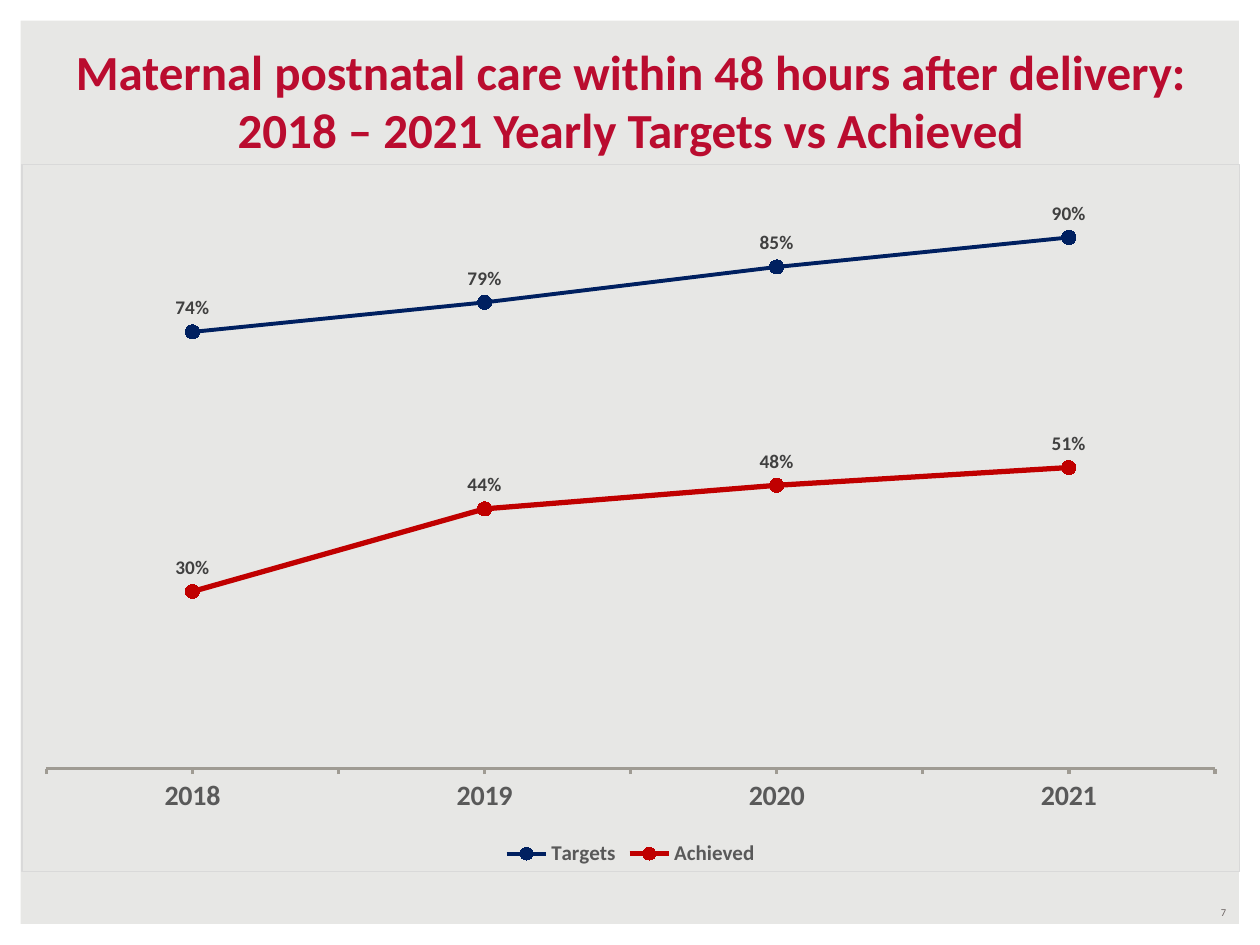
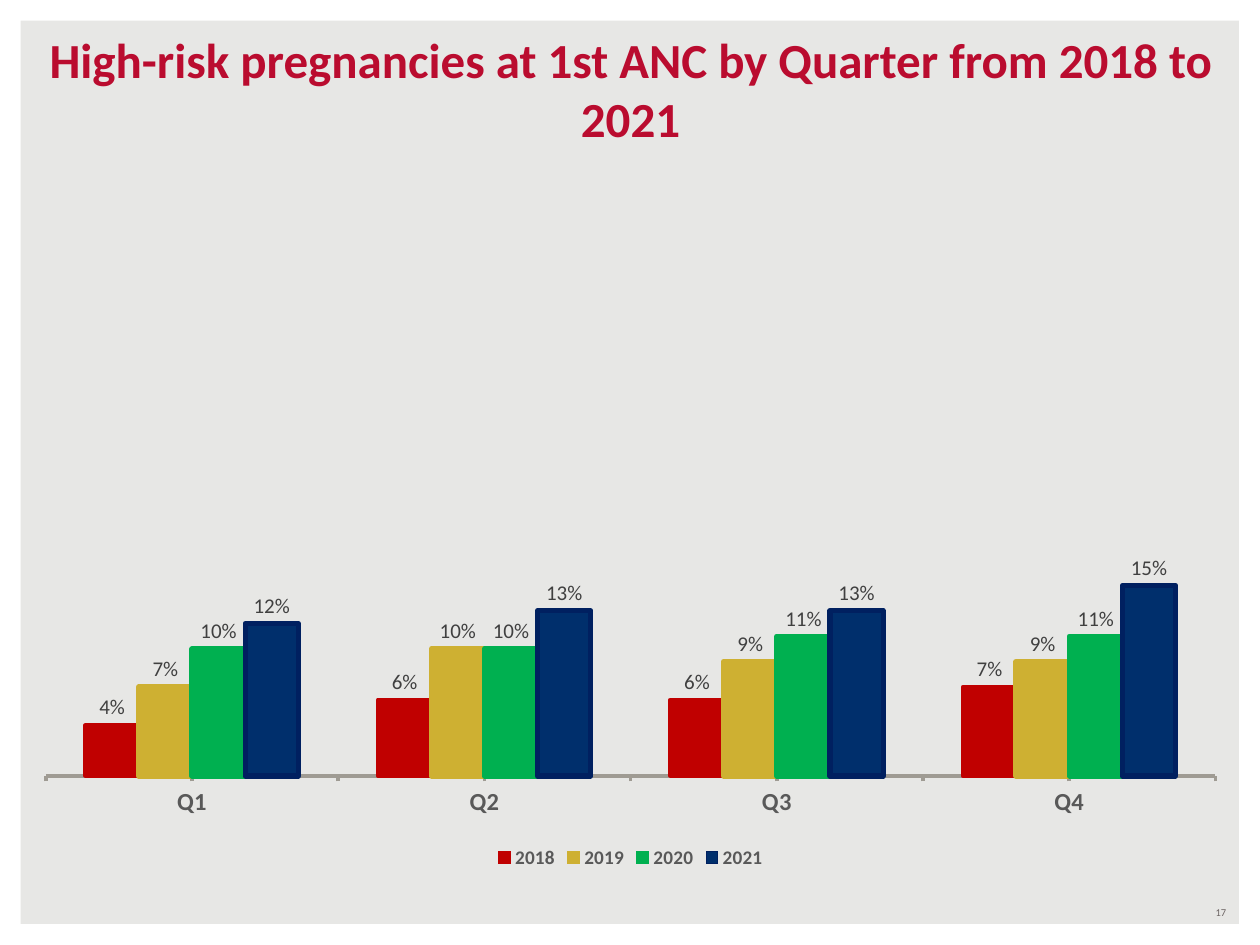
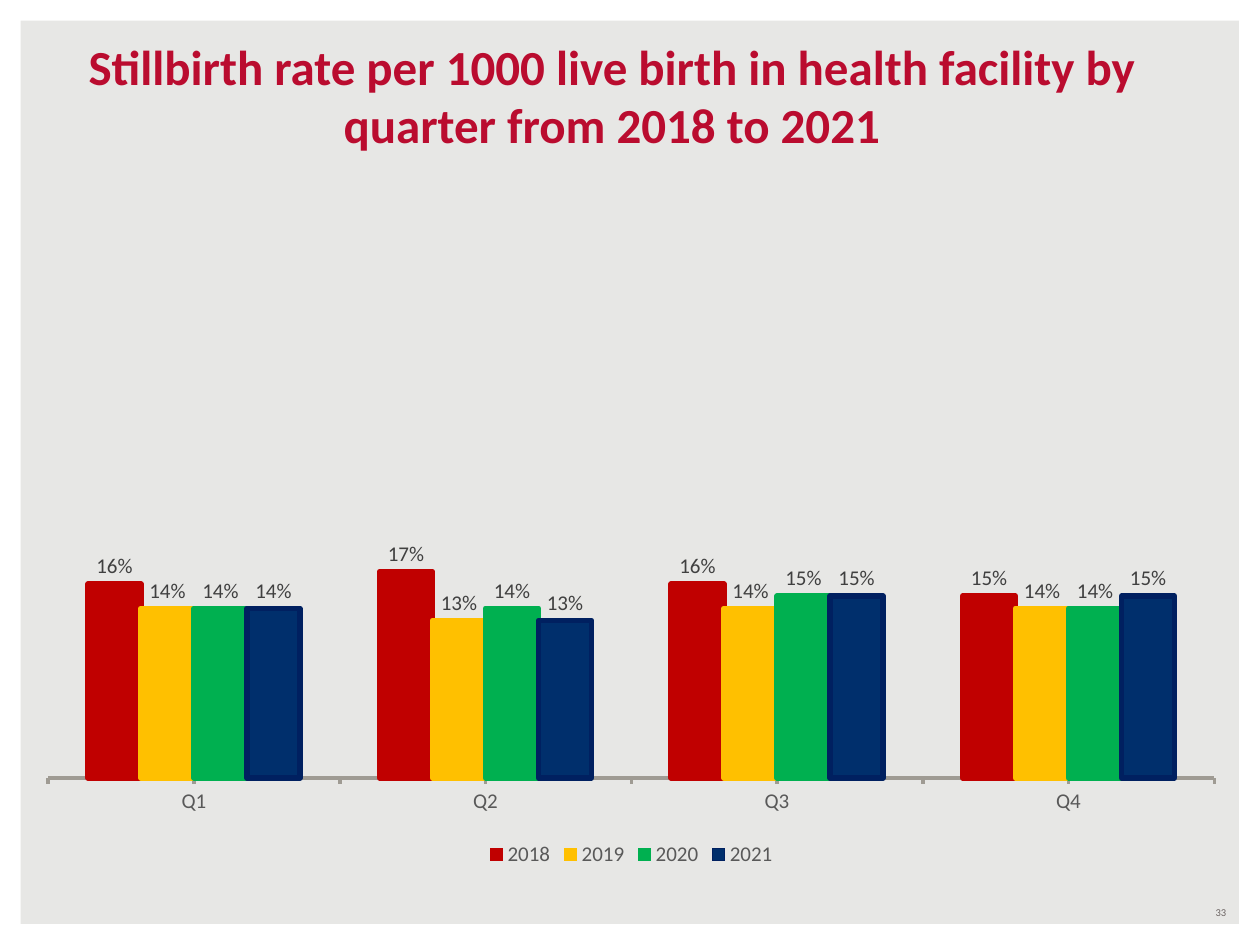
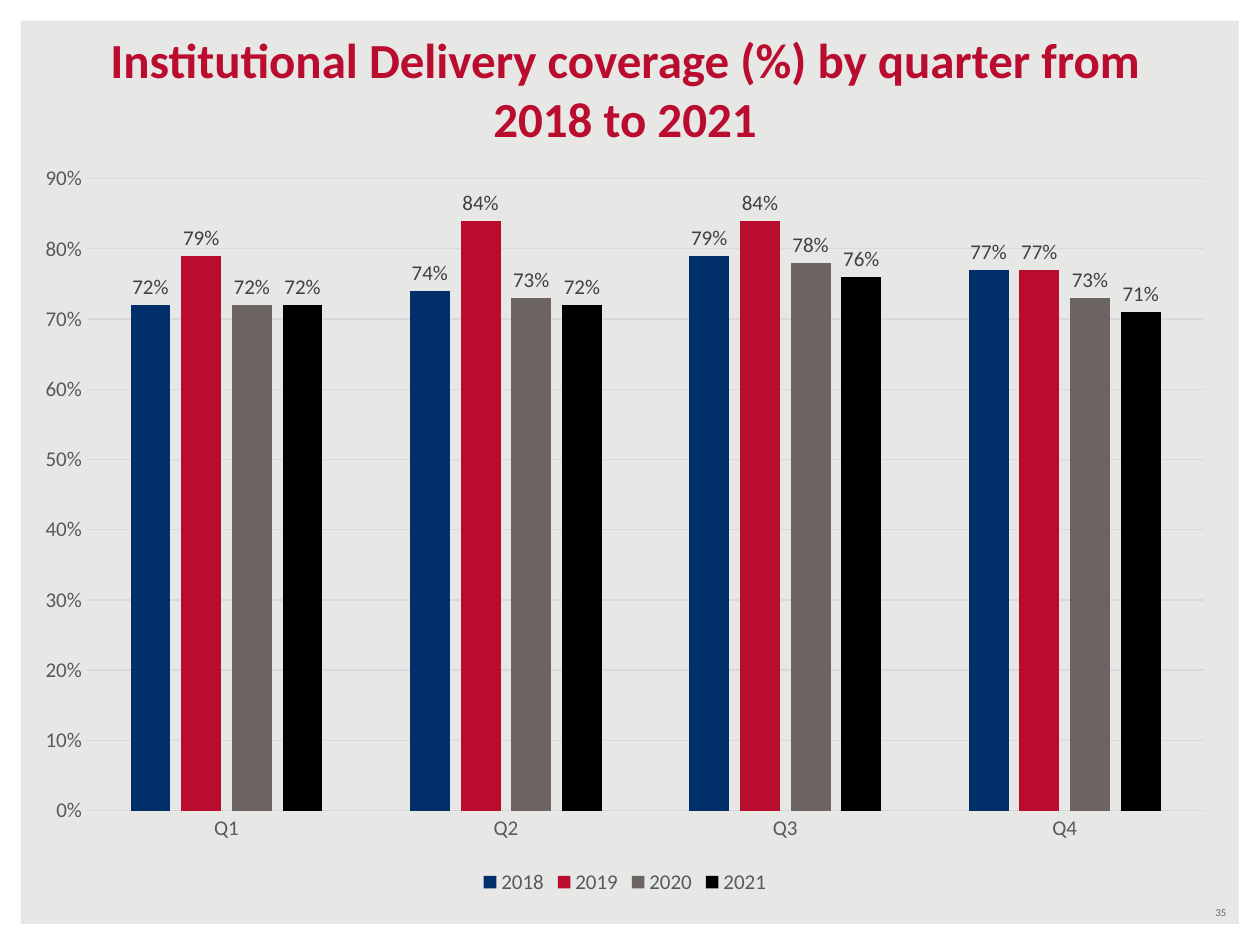
import lxml.etree
import pptx
import pptx.chart.data
import pptx.dml.color
import pptx.enum.chart
import pptx.enum.shapes
import pptx.enum.text
import pptx.oxml
import pptx.oxml.ns
import pptx.util

Inches = pptx.util.Inches
Pt = pptx.util.Pt
RGBColor = pptx.dml.color.RGBColor
XL_TYPE = pptx.enum.chart.XL_CHART_TYPE
XL_LABEL = pptx.enum.chart.XL_LABEL_POSITION
XL_TICK = pptx.enum.chart.XL_TICK_MARK
PP_ALIGN = pptx.enum.text.PP_ALIGN
ANCHOR = pptx.enum.text.MSO_ANCHOR

BACKGROUND = RGBColor(0xE7, 0xE7, 0xE5)
WHITE = RGBColor(0xFF, 0xFF, 0xFF)
BLACK = RGBColor(0x00, 0x00, 0x00)
CRIMSON = RGBColor(0xBA, 0x0C, 0x2F)
RED = RGBColor(0xC0, 0x00, 0x00)
GOLD = RGBColor(0xCE, 0xB0, 0x32)
AMBER = RGBColor(0xFF, 0xC0, 0x00)
GREEN = RGBColor(0x00, 0xB0, 0x50)
BLUE = RGBColor(0x00, 0x2F, 0x6C)
NAVY = RGBColor(0x00, 0x20, 0x60)
WARM_GRAY = RGBColor(0x6C, 0x64, 0x63)
AXIS_GRAY = RGBColor(0x9F, 0x9B, 0x93)
GRID_GRAY = RGBColor(0xD9, 0xD9, 0xD9)
LABEL_GRAY = RGBColor(0x40, 0x40, 0x40)
TEXT_GRAY = RGBColor(0x59, 0x59, 0x59)

FONT = "Calibri"
PERCENT = "0%"
YEARS = ["2018", "2019", "2020", "2021"]
QUARTERS = ["Q1", "Q2", "Q3", "Q4"]


def set_font(font, size, color, bold=False):
    font.name = FONT
    font.size = Pt(size)
    font.color.rgb = color
    font.bold = bold


def set_line(line, color, width):
    line.color.rgb = color
    line.width = Pt(width)


class Deck:
    """Holds the shared style and the slide being built."""

    def __init__(self):
        self.prs = pptx.Presentation()
        self.prs.slide_width = Inches(10)
        self.prs.slide_height = Inches(7.5)
        fill = self.prs.slide_master.background.fill
        fill.solid()
        fill.fore_color.rgb = BACKGROUND
        self.slide = None

    def add_slide(self, number, title, title_box):
        self.slide = self.prs.slides.add_slide(self.prs.slide_layouts[6])
        self.frame()
        self.text(str(number), (7.5, 7.14, 2.33, 0.2), 6, WARM_GRAY,
                  PP_ALIGN.RIGHT, ANCHOR.MIDDLE)
        self.text(title, title_box, 28, CRIMSON, PP_ALIGN.CENTER,
                  ANCHOR.BOTTOM, bold=True)

    def frame(self):
        sp = self.slide.shapes.add_shape(
            pptx.enum.shapes.MSO_SHAPE.FRAME, 0, 0,
            self.prs.slide_width, self.prs.slide_height)
        sp.adjustments[0] = 0.022
        sp.shadow.inherit = False
        sp.fill.solid()
        sp.fill.fore_color.rgb = WHITE
        sp.line.fill.background()

    def text(self, words, box, size, color, align, anchor, bold=False):
        tf = self.slide.shapes.add_textbox(*map(Inches, box)).text_frame
        tf.word_wrap = True
        tf.vertical_anchor = anchor
        tf.margin_top = tf.margin_bottom = Inches(0.03)
        p = tf.paragraphs[0]
        p.alignment = align
        r = p.add_run()
        r.text = words
        set_font(r.font, size, color, bold)

    def chart(self, kind, box, categories, series, legend=(12, False)):
        """Add a chart; series holds (name, whole percentages) pairs."""
        data = pptx.chart.data.CategoryChartData(number_format=PERCENT)
        data.categories = categories
        for name, percents in series:
            data.add_series(name, [value / 100 for value in percents])
        chart = self.slide.shapes.add_chart(
            kind, *map(Inches, box), data).chart
        chart.has_title = False
        set_font(chart.font, 10, BLACK)
        chart.has_legend = True
        chart.legend.position = pptx.enum.chart.XL_LEGEND_POSITION.BOTTOM
        chart.legend.include_in_layout = False
        set_font(chart.legend.font, legend[0], TEXT_GRAY, legend[1])
        chart.plots[0].vary_by_categories = False
        return chart

    def chart_area(self, chart, border=None):
        """Make the chart area clear, with a thin border if a colour is given."""
        paint = (f'<a:solidFill><a:srgbClr val="{border}"/></a:solidFill>'
                 if border else "<a:noFill/>")
        area = pptx.oxml.parse_xml(
            f'<c:spPr {pptx.oxml.ns.nsdecls("c", "a")}><a:noFill/>'
            f'<a:ln w="{Pt(0.75)}">{paint}</a:ln></c:spPr>')
        chart._chartSpace.find(pptx.oxml.ns.qn("c:chart")).addnext(area)

    def category_axis(self, chart, size, bold, color, width, ticks):
        axis = chart.category_axis
        axis.major_tick_mark = XL_TICK.NONE
        axis.minor_tick_mark = XL_TICK.OUTSIDE if ticks else XL_TICK.NONE
        set_font(axis.tick_labels.font, size, TEXT_GRAY, bold)
        set_line(axis.format.line, color, width)

    def value_axis(self, chart, visible=False, top=None):
        axis = chart.value_axis
        axis.minimum_scale = 0
        axis.visible = visible
        axis.has_major_gridlines = visible
        axis.tick_labels.number_format = PERCENT
        axis.tick_labels.number_format_is_linked = False
        if top:
            axis.maximum_scale = top
        if visible:
            axis.major_tick_mark = axis.minor_tick_mark = XL_TICK.NONE
            set_font(axis.tick_labels.font, 12, TEXT_GRAY)
            axis.format.line.fill.background()
            set_line(axis.major_gridlines.format.line, GRID_GRAY, 0.75)

    def value_labels(self, series, position, size, bold=False):
        labels = series.data_labels
        labels.show_value = True
        labels.position = position
        labels.number_format = PERCENT
        labels.number_format_is_linked = False
        set_font(labels.font, size, LABEL_GRAY, bold)

    def line_chart(self, box, categories, series, styles):
        """Styles holds a (colour, line width) pair for each series."""
        chart = self.chart(XL_TYPE.LINE_MARKERS, box, categories, series,
                           (12, True))
        self.chart_area(chart, GRID_GRAY)
        self.category_axis(chart, 16, True, AXIS_GRAY, 2, ticks=True)
        self.value_axis(chart)
        for ser, (color, width) in zip(chart.series, styles):
            ser.smooth = False
            set_line(ser.format.line, color, width)
            ser.marker.style = pptx.enum.chart.XL_MARKER_STYLE.CIRCLE
            ser.marker.size = 8
            ser.marker.format.fill.solid()
            ser.marker.format.fill.fore_color.rgb = color
            set_line(ser.marker.format.line, color, 0.75)
            self.value_labels(ser, XL_LABEL.ABOVE, 11, True)

    def column_chart(self, box, rows, styles, gap=150, overlap=0,
                     legend=(12, False)):
        """Styles holds (fill, outline, outline width) for each year."""
        chart = self.chart(XL_TYPE.COLUMN_CLUSTERED, box, QUARTERS,
                           zip(YEARS, rows), legend)
        self.chart_area(chart)
        chart.plots[0].gap_width = gap
        chart.plots[0].overlap = overlap
        for ser, (color, outline, width) in zip(chart.series, styles):
            ser.invert_if_negative = False
            ser.format.fill.solid()
            ser.format.fill.fore_color.rgb = color
            if outline is None:
                ser.format.line.fill.background()
            else:
                set_line(ser.format.line, outline, width)
            self.value_labels(ser, XL_LABEL.OUTSIDE_END, 12)
        return chart


def postnatal_care(deck):
    deck.add_slide(7, "Maternal postnatal care within 48 hours after delivery: "
                   "2018 – 2021 Yearly Targets vs Achieved",
                   (0.17, 0.25, 9.67, 1.04))
    deck.line_chart((0.17, 1.3, 9.67, 5.62), YEARS,
                    [("Targets", [74, 79, 85, 90]),
                     ("Achieved", [30, 44, 48, 51])],
                    [(NAVY, 2.25), (RED, 3)])


def high_risk_pregnancies(deck):
    deck.add_slide(17, "High-risk pregnancies at 1st ANC by Quarter "
                   "from 2018 to 2021", (0.17, 0.16, 9.67, 1.04))
    chart = deck.column_chart(
        (0.17, 1, 9.67, 5.94),
        [[4, 6, 6, 7], [7, 10, 9, 9], [10, 10, 11, 11], [12, 13, 13, 15]],
        [(RED, RED, 2.5), (GOLD, GOLD, 3), (GREEN, GREEN, 3), (BLUE, NAVY, 3)],
        legend=(11, True))
    deck.category_axis(chart, 14, True, AXIS_GRAY, 2, ticks=True)
    deck.value_axis(chart, top=0.5)


def stillbirth_rate(deck):
    deck.add_slide(33, "Stillbirth rate per 1000 live birth in health facility "
                   "by quarter from 2018 to 2021", (0.19, 0.21, 9.33, 1.04))
    chart = deck.column_chart(
        (0.19, 1.25, 9.64, 5.67),
        [[16, 17, 16, 15], [14, 13, 14, 14], [14, 14, 15, 14],
         [14, 13, 15, 15]],
        [(RED, RED, 3), (AMBER, AMBER, 3), (GREEN, GREEN, 3), (BLUE, NAVY, 3)])
    chart.font.size = Pt(12)
    deck.category_axis(chart, 12, False, AXIS_GRAY, 2, ticks=True)
    deck.value_axis(chart, top=0.5)


def institutional_delivery(deck):
    deck.add_slide(35, "Institutional Delivery coverage (%) by quarter "
                   "from 2018 to 2021", (0.5, 0.16, 8.92, 1.04))
    chart = deck.column_chart(
        (0.17, 1.2, 9.58, 5.94),
        [[72, 74, 79, 77], [79, 84, 84, 77], [72, 73, 78, 73],
         [72, 72, 76, 71]],
        [(color, None, 0) for color in (BLUE, CRIMSON, WARM_GRAY, BLACK)],
        gap=219, overlap=-27)
    deck.category_axis(chart, 12, False, GRID_GRAY, 0.75, ticks=False)
    deck.value_axis(chart, visible=True)


def main():
    deck = Deck()
    for build in (postnatal_care, high_risk_pregnancies, stillbirth_rate,
                  institutional_delivery):
        build(deck)
    deck.prs.save("out.pptx")


if __name__ == "__main__":
    main()
